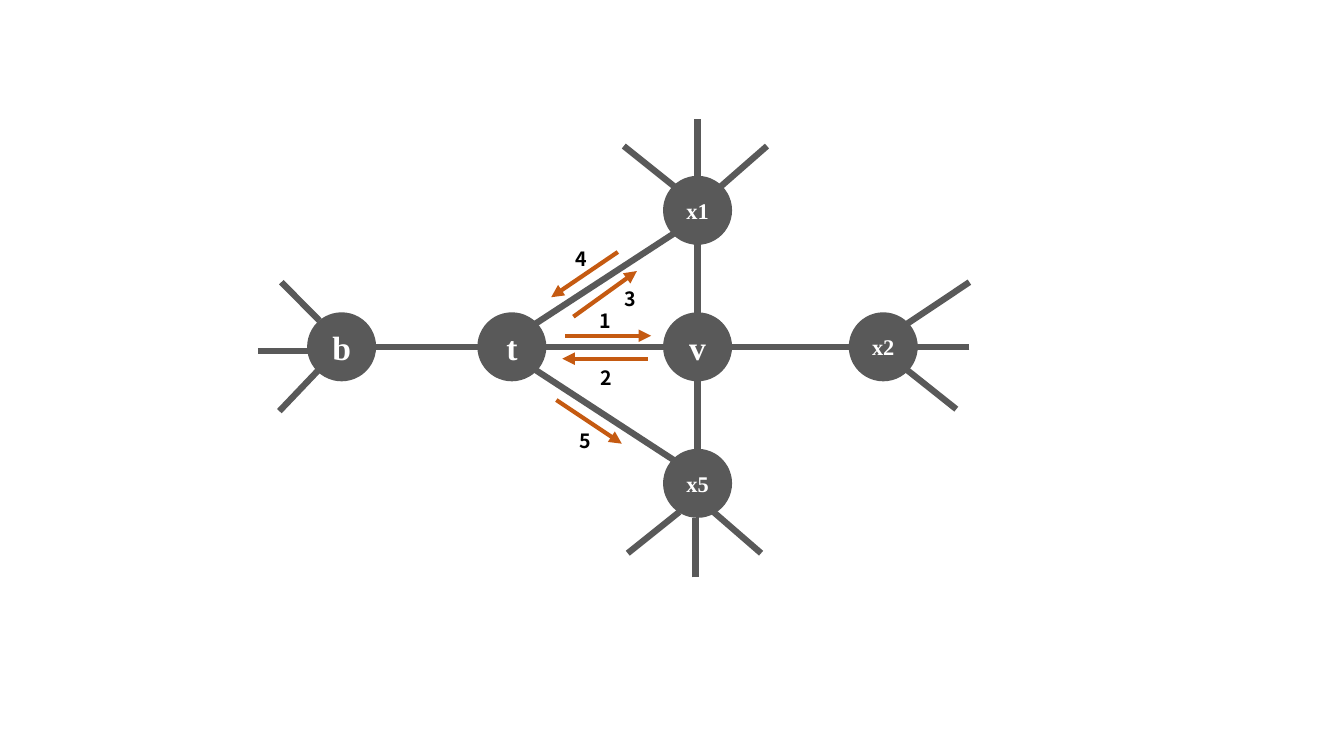
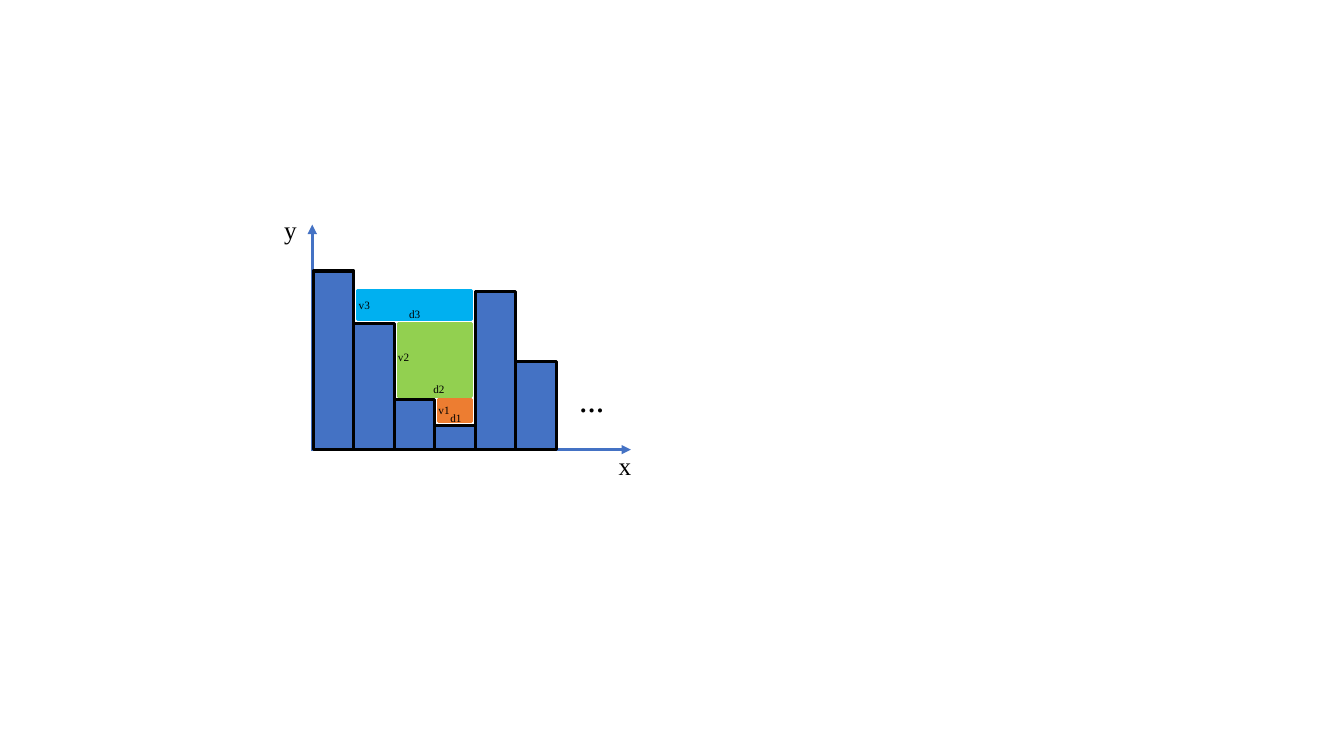
"""Draw a graph walk with numbered steps and a bar sketch of trapped areas."""
from pptx import Presentation
from pptx.dml.color import RGBColor as Rgb
from pptx.enum.shapes import MSO_CONNECTOR as Link, MSO_SHAPE as Form
from pptx.enum.text import MSO_ANCHOR as Anchor, MSO_AUTO_SIZE as Fit, PP_ALIGN as Align
from pptx.oxml.ns import qn
from pptx.util import Cm, Pt
from lxml.etree import SubElement

GRAY = Rgb(0x59, 0x59, 0x59)
RUST = Rgb(0xC5, 0x5A, 0x11)
BLUE = Rgb(0x44, 0x72, 0xC4)
ORANGE = Rgb(0xED, 0x7D, 0x31)
GREEN = Rgb(0x92, 0xD0, 0x50)
SKY = Rgb(0x00, 0xB0, 0xF0)
BLACK = Rgb(0, 0, 0)
WHITE = Rgb(255, 255, 255)
SERIF = "Times New Roman"
SANS = "Noto Sans CJK SC"


def add_line(slide, ends, color, width, arrow=False):
    line = slide.shapes.add_connector(Link.STRAIGHT, *[Cm(v) for v in ends])
    line.line.color.rgb = color
    line.line.width = Pt(width)
    props = line.line._get_or_add_ln()
    if arrow:
        SubElement(props, qn("a:tailEnd"), type="triangle")
    SubElement(props.getparent(), qn("a:effectLst"))


def add_text(frame, text, size, face, color=BLACK, bold=False):
    run = frame.paragraphs[0].add_run()
    run.text = text
    font = run.font
    font.size, font.name, font.bold = Pt(size), face, bold
    font.color.rgb = color
    SubElement(run._r.get_or_add_rPr(), qn("a:ea"), typeface=face)


deck = Presentation()
deck.slide_width, deck.slide_height = Cm(33.87), Cm(19.05)
blank = deck.slide_layouts[6]
graph = deck.slides.add_slide(blank)
chart = deck.slides.add_slide(blank)

RAD = 0.79
MIDX, MIDY = 17.58, 8.74
STEPX, STEPY = 4.68, 3.44
nodes = {
    "t": (MIDX - STEPX, MIDY, 24),
    "v": (MIDX, MIDY, 24),
    "x5": (MIDX, MIDY + STEPY, 16),
    "x1": (MIDX, MIDY - STEPY, 16),
    "b": (8.61, MIDY, 24),
    "x2": (MIDX + STEPX, MIDY, 16),
}
for name, (x, y, size) in nodes.items():
    node = graph.shapes.add_shape(
        Form.OVAL, Cm(x - RAD), Cm(y - RAD), Cm(2 * RAD), Cm(2 * RAD))
    node.shadow.inherit = False
    node.fill.solid()
    node.fill.fore_color.rgb = GRAY
    node.line.color.rgb = GRAY
    node.line.width = Pt(4.5)
    frame = node.text_frame
    frame.margin_left = frame.margin_right = 0
    frame.margin_top = frame.margin_bottom = 0
    frame.vertical_anchor = Anchor.MIDDLE
    frame.paragraphs[0].alignment = Align.CENTER
    add_text(frame, name, size, SERIF, WHITE, True)

edges = [("t", "v"), ("x1", "v"), ("v", "x5"), ("v", "x2"),
         ("b", "t"), ("t", "x1"), ("t", "x5")]
for tail, head in edges:
    x1, y1, _ = nodes[tail]
    x2, y2, _ = nodes[head]
    dx, dy = x2 - x1, y2 - y1
    reach = RAD * 0.71 if dx and dy else RAD
    offx = reach * ((dx > 0) - (dx < 0))
    offy = reach * ((dy > 0) - (dy < 0))
    add_line(graph, (x1 + offx, y1 + offy, x2 - offx, y2 - offy), GRAY, 4.5)

spokes = [
    (7.09, 7.11, 8.05, 8.08), (6.5, 8.84, 7.82, 8.84), (8.05, 9.3, 7.04, 10.36),
    (18.14, 4.72, 19.33, 3.68), (17.58, 3, 17.58, 4.5), (17.02, 4.72, 15.72, 3.68),
    (17.98, 12.9, 19.18, 13.94), (17.53, 14.55, 17.53, 13.06),
    (17.12, 12.9, 15.82, 13.94), (24.43, 7.11, 22.83, 8.18),
    (24.43, 8.74, 23.11, 8.74), (22.83, 9.3, 24.1, 10.31),
]
for ends in spokes:
    add_line(graph, ends, GRAY, 4.5)

steps = [
    ("1", (14.25, 8.46, 16.41, 8.46), 14.86, 7.67),
    ("2", (16.33, 9.04, 14.17, 9.04), 14.88, 9.09),
    ("3", (14.45, 7.98, 16.05, 6.83), 15.49, 7.11),
    ("4", (15.57, 6.35, 13.89, 7.49), 14.25, 6.1),
    ("5", (14.02, 10.08, 15.67, 11.18), 14.35, 10.69),
]
labels = []
for text, ends, x, y in steps:
    add_line(graph, ends, RUST, 3, True)
    labels.append((graph, text, x, y, 0.79, 0.86, 14, SANS, True))

LEFT, BASE, WIDE = 7.9, 11.33, 1.02
add_line(chart, (7.85, BASE, 15.9, BASE), BLUE, 2.25, True)
add_line(chart, (7.87, BASE, 7.87, 5.66), BLUE, 2.25, True)

rects = [(LEFT + i * WIDE, BASE - tall, WIDE, tall, BLUE, BLACK)
         for i, tall in enumerate([4.5, 3.18, 1.27, 0.61, 3.99, 2.21])]
pools = [(3, 10.06, 0.56, ORANGE), (2, 8.15, 1.83, GREEN), (1, 7.32, 0.74, SKY)]
for i, y, tall, color in pools:
    x = LEFT + i * WIDE + 0.1
    rects.append((x, y, LEFT + 4 * WIDE - 0.1 - x, tall, color, color))
for x, y, wide, tall, color, edge in rects:
    rect = chart.shapes.add_shape(Form.RECTANGLE, Cm(x), Cm(y), Cm(wide), Cm(tall))
    rect.shadow.inherit = False
    rect.fill.solid()
    rect.fill.fore_color.rgb = color
    rect.line.color.rgb = edge
    rect.line.width = Pt(2.25)

for text, x, y, face in [("x", 15.34, 11.23, SERIF), ("y", 6.91, 5.28, SERIF),
                         ("…", 14.35, 9.83, SANS)]:
    labels.append((chart, text, x, y, 0.99, 1.02, 18, face, face == SANS))
for text, x, y in [("v1", 10.8, 10.03), ("d1", 11.1, 10.24), ("v2", 9.78, 8.71),
                   ("d2", 10.67, 9.5), ("v3", 8.79, 7.39), ("d3", 10.06, 7.62)]:
    labels.append((chart, text, x, y, 0.9, 0.61, 8, SERIF, False))

for slide, text, x, y, wide, tall, size, face, bold in labels:
    frame = slide.shapes.add_textbox(Cm(x), Cm(y), Cm(wide), Cm(tall)).text_frame
    frame.word_wrap = True
    frame.auto_size = Fit.SHAPE_TO_FIT_TEXT
    add_text(frame, text, size, face, bold=bold)

deck.save("out.pptx")
